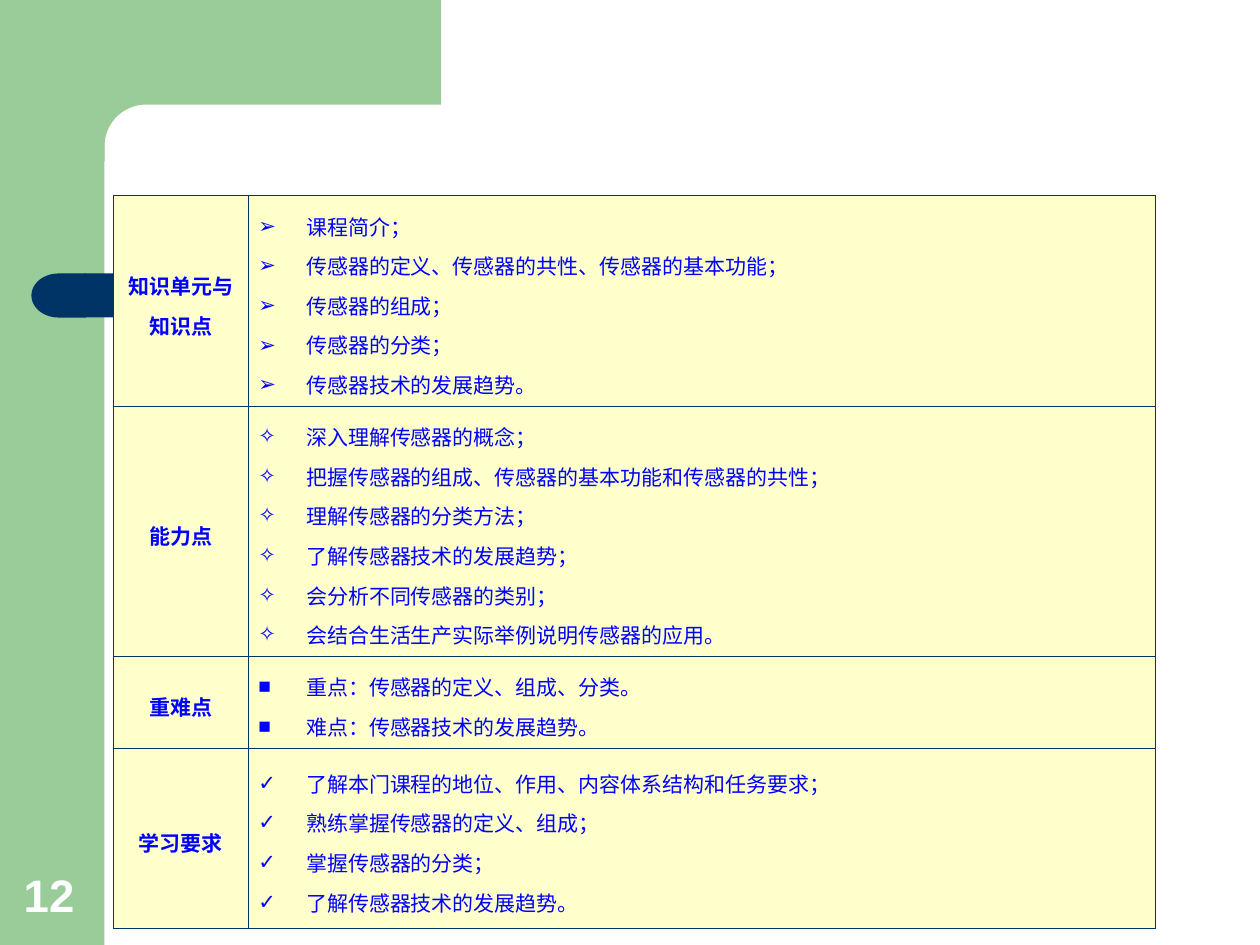
import math

import pptx
import pptx.dml.color
import pptx.enum.shapes
import pptx.enum.text
import pptx.oxml.ns
import pptx.util
from lxml import etree

Inches, Pt = pptx.util.Inches, pptx.util.Pt
RGBColor = pptx.dml.color.RGBColor
SHAPE = pptx.enum.shapes.MSO_SHAPE
ANCHOR = pptx.enum.text.MSO_ANCHOR
ALIGN = pptx.enum.text.PP_ALIGN
qn = pptx.oxml.ns.qn

GREEN = RGBColor(0x99, 0xCC, 0x99)
NAVY = RGBColor(0x00, 0x33, 0x66)
CREAM = RGBColor(0xFF, 0xFF, 0xCC)
BLUE = RGBColor(0x00, 0x00, 0xFF)
WHITE = RGBColor(0xFF, 0xFF, 0xFF)
CJK_FONT = "Noto Sans CJK SC"

# row height, heading, bullet, items
ROWS = [
    (1.3, "知识单元与知识点", "➢", [
        "课程简介；",
        "传感器的定义、传感器的共性、传感器的基本功能；",
        "传感器的组成；",
        "传感器的分类；",
        "传感器技术的发展趋势。",
    ]),
    (1.56, "能力点", "✧", [
        "深入理解传感器的概念；",
        "把握传感器的组成、传感器的基本功能和传感器的共性；",
        "理解传感器的分类方法；",
        "了解传感器技术的发展趋势；",
        "会分析不同传感器的类别；",
        "会结合生活生产实际举例说明传感器的应用。",
    ]),
    (0.52, "重难点", "■", [
        "重点：传感器的定义、组成、分类。",
        "难点：传感器技术的发展趋势。",
    ]),
    (1.43, "学习要求", "✓", [
        "了解本门课程的地位、作用、内容体系结构和任务要求；",
        "熟练掌握传感器的定义、组成；",
        "掌握传感器的分类；",
        "了解传感器技术的发展趋势。",
    ]),
]


def paint(s, color):
    s.shadow.inherit = False
    s.fill.solid()
    s.fill.fore_color.rgb = color
    s.line.fill.background()


def add_block(slide, kind, box, color):
    s = slide.shapes.add_shape(kind, *map(Inches, box))
    paint(s, color)
    return s


def add_green_frame(slide, left, top, width, height):
    """Side band and top band, joined by a rounded inner corner."""
    band = 0.83
    add_block(slide, SHAPE.RECTANGLE, (left, top, band, height), GREEN)
    x, y, radius = left + 0.5, top, 0.33
    corner = []
    for degrees in range(0, 91, 6):
        a = math.radians(degrees)
        corner.append((left + band + radius * (1 - math.sin(a)),
                       top + band + radius * (1 - math.cos(a))))
    points = [(left + width, y), (left + width, top + band), *corner,
              (left + band, top + 1.28), (x, top + 1.28)]
    builder = slide.shapes.build_freeform(Inches(x), Inches(y), scale=1.0)
    builder.add_line_segments([(Inches(px), Inches(py)) for px, py in points])
    paint(builder.convert_to_shape(), GREEN)


def add_navy_bar(slide, left, top, width, height):
    cap = 0.43
    add_block(slide, SHAPE.RECTANGLE,
              (left + cap - 0.01, top, width - cap + 0.01, height), NAVY)
    s = add_block(slide, SHAPE.FLOWCHART_DELAY, (left, top, cap, height), NAVY)
    s._element.spPr.find(qn("a:xfrm")).set("flipH", "1")


def add_borders(cell):
    tcPr = cell._tc.get_or_add_tcPr()
    for side in ("lnL", "lnR", "lnT", "lnB"):
        ln = etree.SubElement(tcPr, qn(f"a:{side}"), w=str(Pt(0.45)))
        fill = etree.SubElement(ln, qn("a:solidFill"))
        etree.SubElement(fill, qn("a:srgbClr"), val=str(NAVY))


def add_bullet(p, char):
    pPr = p._p.get_or_add_pPr()
    pPr.set("marL", str(Inches(0.38)))
    pPr.set("indent", str(Inches(-0.38)))
    color = etree.SubElement(pPr, qn("a:buClr"))
    etree.SubElement(color, qn("a:srgbClr"), val=str(BLUE))
    etree.SubElement(pPr, qn("a:buFont"), typeface="Arial")
    etree.SubElement(pPr, qn("a:buChar"), char=char)


def fill_cell(cell, lines, bullet=None):
    """A bulleted list, or a bold centred heading when there is no bullet."""
    add_borders(cell)
    cell.fill.solid()
    cell.fill.fore_color.rgb = CREAM
    cell.vertical_anchor = ANCHOR.MIDDLE
    cell.margin_left = cell.margin_right = Inches(0.08)
    cell.margin_top = cell.margin_bottom = Inches(0.05)
    cell.text_frame.text = "\n".join(lines)
    for p in cell.text_frame.paragraphs:
        if bullet:
            add_bullet(p, bullet)
        else:
            p.alignment = ALIGN.CENTER
        p.line_spacing = 1.3
        for r in p.runs:
            r.font.size = Pt(12)
            r.font.bold = bullet is None
            r.font.name = CJK_FONT
            r.font.color.rgb = BLUE
            etree.SubElement(r._r.get_or_add_rPr(), qn("a:ea"),
                             typeface=CJK_FONT)


def add_outline_table(slide, left, top, width, height):
    table = slide.shapes.add_table(
        len(ROWS), 2, *map(Inches, (left, top, width, height))).table
    table.first_row = table.horz_banding = False
    heading_width = 1.07
    table.columns[0].width = Inches(heading_width)
    table.columns[1].width = Inches(width - heading_width)
    for i, (row_height, heading, bullet, items) in enumerate(ROWS):
        table.rows[i].height = Inches(row_height)
        fill_cell(table.cell(i, 0), [heading])
        fill_cell(table.cell(i, 1), items, bullet)


def add_page_number(slide, left, top, width, height):
    s = slide.shapes.add_textbox(*map(Inches, (left, top, width, height)))
    tf = s.text_frame
    tf.word_wrap = True
    tf.vertical_anchor = ANCHOR.BOTTOM
    tf.text = "12"
    font = tf.paragraphs[0].runs[0].font
    font.name, font.size, font.bold = "Arial", Pt(26), True
    font.color.rgb = WHITE


def main():
    prs = pptx.Presentation()
    prs.slide_width, prs.slide_height = Inches(10), Inches(7.5)
    slide = prs.slides.add_slide(prs.slide_layouts[6])
    add_green_frame(slide, 0, 0, 3.5, 7.5)
    add_navy_bar(slide, 0.25, 2.17, 8.09, 0.35)
    add_outline_table(slide, 0.9, 1.55, 8.27, 4.81)
    add_page_number(slide, 0.09, 6.83, 0.64, 0.53)
    prs.save("out.pptx")


if __name__ == "__main__":
    main()
